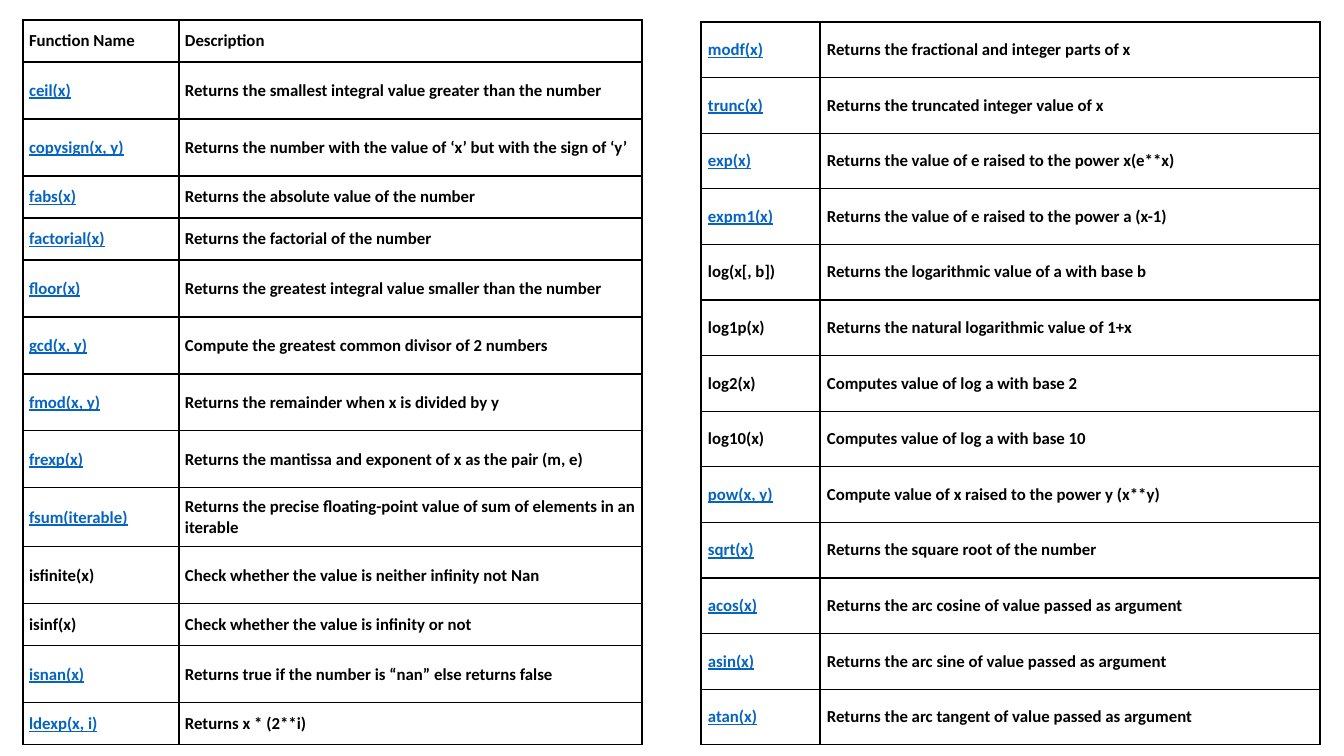
"""Build a slide with two tables describing Python math functions."""
from dataclasses import dataclass

from lxml import etree
from pptx import Presentation
from pptx.dml.color import RGBColor
from pptx.enum.text import MSO_ANCHOR
from pptx.oxml.ns import qn
from pptx.util import Emu, Pt

BLACK = RGBColor(0x00, 0x00, 0x00)
LINK_BLUE = RGBColor(0x05, 0x63, 0xC1)
MIDDLE = MSO_ANCHOR.MIDDLE
FONT_NAME = "Calibri"
FONT_SIZE = Pt(12)
BORDER_WIDTH = Pt(1)
EMU_PER_PIXEL = 914400 / 100.8
SHORT, TALL, TWO_LINES = 42, 57, 59


@dataclass(frozen=True)
class Entry:
    name: str
    description: str
    linked: bool = True
    height: int = TALL
    inset: int = 9


@dataclass(frozen=True)
class FunctionTable:
    left: int
    top: int
    name_width: int
    description_width: int
    height: int
    side_inset: int
    entries: list[Entry]


LEFT_ENTRIES = [
    Entry("Function Name", "Description", False, SHORT, 6),
    Entry("ceil(x)", "Returns the smallest integral value greater than the number"),
    Entry("copysign(x, y)", "Returns the number with the value of ‘x’ but with the sign of ‘y’"),
    Entry("fabs(x)", "Returns the absolute value of the number", height=SHORT),
    Entry("factorial(x)", "Returns the factorial of the number", height=SHORT),
    Entry("floor(x)", "Returns the greatest integral value smaller than the number"),
    Entry("gcd(x, y)", "Compute the greatest common divisor of 2 numbers"),
    Entry("fmod(x, y)", "Returns the remainder when x is divided by y"),
    Entry("frexp(x)", "Returns the mantissa and exponent of x as the pair (m, e)"),
    Entry("fsum(iterable)",
          "Returns the precise floating-point value of sum of elements in an iterable\u00a0",
          height=TWO_LINES),
    Entry("isfinite(x)", "Check whether the value is neither infinity not Nan", False),
    Entry("isinf(x)", "Check whether the value is infinity or not", False, SHORT),
    Entry("isnan(x)", "Returns true if the number is “nan” else returns false"),
    Entry("ldexp(x, i)", "Returns x * (2**i)", height=SHORT),
]
RIGHT_ENTRIES = [Entry(*fields, inset=10) for fields in (
    ("modf(x)", "Returns the fractional and integer parts of x"),
    ("trunc(x)", "Returns the truncated integer value of x"),
    ("exp(x)", "Returns the value of e raised to the power x(e**x)"),
    ("expm1(x)", "Returns the value of e raised to the power a (x-1)"),
    ("log(x[, b])", "Returns the logarithmic value of a with base b", False),
    ("log1p(x)", "Returns the natural logarithmic value of 1+x", False),
    ("log2(x)", "Computes value of log a with base 2", False),
    ("log10(x)", "Computes value of log a with base 10", False),
    ("pow(x, y)", "Compute value of x raised to the power y (x**y)"),
    ("sqrt(x)", "Returns the square root of the number"),
    ("acos(x)", "Returns the arc cosine of value passed as argument"),
    ("asin(x)", "Returns the arc sine of value passed as argument"),
    ("atan(x)", "Returns the arc tangent of value passed as argument"),
)]
FUNCTION_TABLES = [
    FunctionTable(23, 20, 156, 463, 725, 6, LEFT_ENTRIES),
    FunctionTable(701, 22, 119, 500, 723, 7, RIGHT_ENTRIES),
]


def pixels(count: float) -> Emu:
    return Emu(round(count * EMU_PER_PIXEL))


def add_borders(cell) -> None:
    properties = cell._tc.get_or_add_tcPr()
    for side in ("a:lnL", "a:lnR", "a:lnT", "a:lnB"):
        line = etree.SubElement(properties, qn(side), w=str(BORDER_WIDTH))
        fill = etree.SubElement(line, qn("a:solidFill"))
        etree.SubElement(fill, qn("a:srgbClr"), val=str(BLACK))


def fill_cell(cell, text: str, linked: bool, side_inset: int, inset: int) -> None:
    add_borders(cell)
    cell.fill.background()
    cell.vertical_anchor = MIDDLE
    cell.margin_left = cell.margin_right = pixels(side_inset)
    cell.margin_top = cell.margin_bottom = pixels(inset)
    run = cell.text_frame.paragraphs[0].add_run()
    run.text = text
    run.font.name = FONT_NAME
    run.font.size = FONT_SIZE
    run.font.bold = True
    run.font.underline = linked
    run.font.color.rgb = LINK_BLUE if linked else BLACK


def add_function_table(slide, layout: FunctionTable) -> None:
    entries = layout.entries
    widths = (layout.name_width, layout.description_width)
    shape = slide.shapes.add_table(
        len(entries), len(widths), pixels(layout.left), pixels(layout.top),
        pixels(sum(widths)), pixels(layout.height))
    table = shape.table
    table.first_row = table.horz_banding = False
    for column, width in zip(table.columns, widths):
        column.width = pixels(width)
    height_scale = layout.height / sum(entry.height for entry in entries)
    for row, entry in zip(table.rows, entries):
        row.height = pixels(entry.height * height_scale)
        name_cell, description_cell = row.cells
        fill_cell(name_cell, entry.name, entry.linked, layout.side_inset, entry.inset)
        fill_cell(description_cell, entry.description, False, layout.side_inset, entry.inset)


def main() -> None:
    presentation = Presentation()
    presentation.slide_width = pixels(1344)
    presentation.slide_height = pixels(756)
    slide = presentation.slides.add_slide(presentation.slide_layouts[6])
    for layout in FUNCTION_TABLES:
        add_function_table(slide, layout)
    presentation.save("out.pptx")


main()
